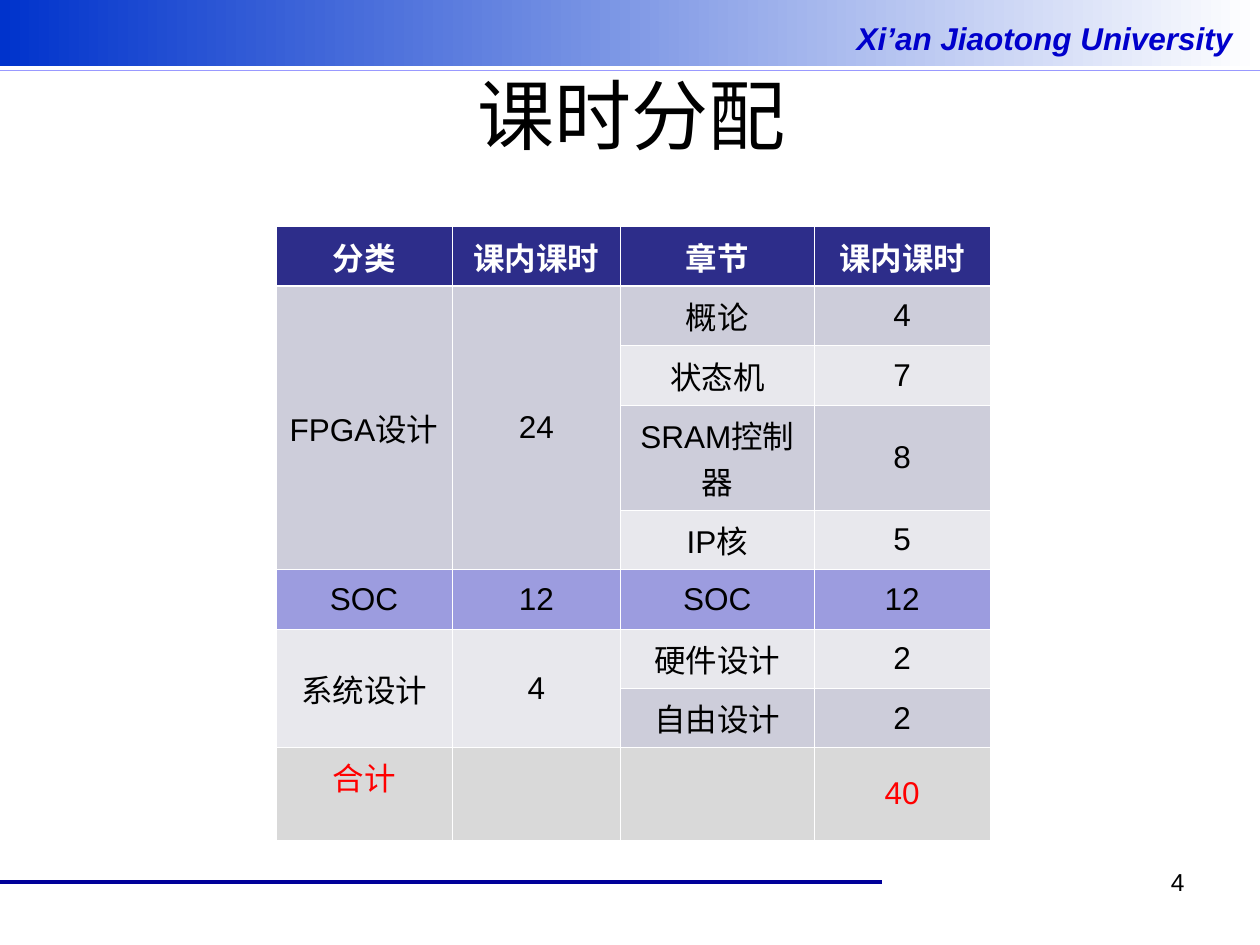
from dataclasses import dataclass

from lxml.etree import SubElement
from pptx import Presentation
from pptx.dml.color import RGBColor
from pptx.enum.lang import MSO_LANGUAGE_ID as Language
from pptx.enum.shapes import MSO_CONNECTOR as Connector, MSO_SHAPE as Preset
from pptx.enum.text import MSO_ANCHOR as Anchor, PP_ALIGN as Align
from pptx.oxml.ns import qn
from pptx.util import Inches, Pt

GRID_COLUMNS, GRID_ROWS, GRID_UNIT = 100, 75, Inches(0.1)


@dataclass(frozen=True)
class Theme:
    """Colours and type sizes of the slide."""
    font: str = "Arial"
    banner_start: str = "0033CC"
    white: str = "FFFFFF"
    name: str = "0000CC"
    header_rule: str = "9999FF"
    footer_rule: str = "000099"
    text: str = "000000"
    total: str = "FF0000"
    heading_fill: str = "2D2D8A"
    dark_band: str = "CDCDDA"
    light_band: str = "E8E8ED"
    accent_band: str = "9C9CDF"
    total_band: str = "D9D9D9"
    title_size: int = 44
    body_size: int = 18
    number_size: int = 14


@dataclass(frozen=True)
class Box:
    """A rectangle measured in grid columns and rows."""
    left: float
    top: float
    width: float
    height: float

    def share(self, x, y, width, height):
        """Return the box at the given shares of this one."""
        return Box(self.left + x * self.width, self.top + y * self.height,
                   width * self.width, height * self.height)

    def lengths(self):
        """Return left, top, width and height as slide lengths."""
        return [round(value * GRID_UNIT)
                for value in (self.left, self.top, self.width, self.height)]


THEME = Theme()
COLUMN_WEIGHTS = (1.4, 1.34, 1.54, 1.4)
SCHEDULE = (
    (THEME.heading_fill, 0.47, ("分类", "课内课时", "章节", "课内课时")),
    (THEME.dark_band, 0.47, ("FPGA设计", "24", "概论", "4")),
    (THEME.light_band, 0.47, ("", "", "状态机", "7")),
    (THEME.dark_band, 0.83, ("", "", "SRAM控制器", "8")),
    (THEME.light_band, 0.47, ("", "", "IP核", "5")),
    (THEME.accent_band, 0.47, ("SOC", "12", "SOC", "12")),
    (THEME.light_band, 0.47, ("系统设计", "4", "硬件设计", "2")),
    (THEME.dark_band, 0.47, ("", "", "自由设计", "2")),
    (THEME.total_band, 0.73, ("合计", "", "", "40")),
)
MERGED_ROWS = ((1, 4), (6, 7))


def color(value):
    """Turn a hex string into a colour."""
    return RGBColor.from_string(value)


def write(frame, text, align, size, ink=THEME.text, **styles):
    """Write one formatted paragraph into a text frame."""
    paragraph = frame.paragraphs[0]
    paragraph.alignment = align
    if not text:
        paragraph.font.size = Pt(size)
        return
    run = paragraph.add_run()
    run.text = text
    formats = {"name": THEME.font, "size": Pt(size),
               "language_id": Language.SIMPLIFIED_CHINESE, **styles}
    for attribute, value in formats.items():
        setattr(run.font, attribute, value)
    run.font.color.rgb = color(ink)


def add_text(slide, box, text, align, size, anchor=Anchor.TOP, **styles):
    """Add a wrapping text box that fills the given box."""
    frame = slide.shapes.add_textbox(*box.lengths()).text_frame
    frame.word_wrap = True
    frame.vertical_anchor = anchor
    write(frame, text, align, size, **styles)


def add_rule(slide, box, ink, weight):
    """Draw a line along the top edge of the given box."""
    left, top, width, _ = box.lengths()
    line = slide.shapes.add_connector(Connector.STRAIGHT, left, top, left + width, top)
    line.line.color.rgb = color(ink)
    line.line.width = Pt(weight)
    SubElement(line._element.spPr, qn("a:effectLst"))


def add_header(slide, box):
    """Place the gradient banner, the university name and the rule."""
    banner = slide.shapes.add_shape(Preset.RECTANGLE, *box.share(0, 0, 1, 0.93).lengths())
    banner.shadow.inherit = False
    banner.line.fill.background()
    banner.fill.gradient()
    banner.fill.gradient_angle = 0
    for stop, ink in zip(banner.fill.gradient_stops, (THEME.banner_start, THEME.white)):
        stop.color.rgb = color(ink)
    add_text(slide, box.share(0.67, 0.18, 0.32, 0.71), "Xi’an Jiaotong University",
             Align.JUSTIFY, THEME.body_size, ink=THEME.name, bold=True, italic=True)
    add_rule(slide, box.share(0, 1, 1, 0), THEME.header_rule, 1)


def add_title(slide, box):
    """Place the slide title."""
    add_text(slide, box, "课时分配", Align.CENTER, THEME.title_size, Anchor.MIDDLE)


def add_borders(cell, row):
    """Draw white cell borders, heavier beneath the heading row."""
    weights = {"L": 0.45, "R": 0.45, "T": 1.47 if row == 1 else 0.45,
               "B": 1.47 if row == 0 else 0.45}
    properties = cell._tc.get_or_add_tcPr()
    for side, weight in weights.items():
        border = SubElement(properties, qn(f"a:ln{side}"), w=str(Pt(weight)))
        fill = SubElement(border, qn("a:solidFill"))
        SubElement(fill, qn("a:srgbClr"), val=THEME.white)


def add_schedule(slide, box):
    """Place the table of class hours."""
    left, top, width, height = box.lengths()
    table = slide.shapes.add_table(len(SCHEDULE), len(COLUMN_WEIGHTS),
                                   left, top, width, height).table
    for column, weight in zip(table.columns, COLUMN_WEIGHTS):
        column.width = round(width * weight / sum(COLUMN_WEIGHTS))
    total_weight = sum(weight for _, weight, _ in SCHEDULE)
    last = len(SCHEDULE) - 1
    for row, (fill, weight, texts) in enumerate(SCHEDULE):
        table.rows[row].height = round(height * weight / total_weight)
        ink = {0: THEME.white, last: THEME.total}.get(row, THEME.text)
        for column, text in enumerate(texts):
            cell = table.cell(row, column)
            add_borders(cell, row)
            cell.fill.solid()
            cell.fill.fore_color.rgb = color(fill)
            cell.vertical_anchor = Anchor.MIDDLE
            write(cell.text_frame, text, Align.CENTER, THEME.body_size, ink, bold=row == 0)
    table.cell(last, 0).vertical_anchor = Anchor.TOP
    for first, end in MERGED_ROWS:
        for column in range(2):
            table.cell(first, column).merge(table.cell(end, column))


def add_footer(slide, box):
    """Place the bottom rule and the page number."""
    add_rule(slide, box.share(0, 0.33, 0.7, 0), THEME.footer_rule, 2.25)
    add_text(slide, box.share(0.72, 0, 0.23, 1), "4", Align.RIGHT, THEME.number_size)


def main():
    """Build and save the presentation."""
    presentation = Presentation()
    presentation.slide_width = GRID_COLUMNS * GRID_UNIT
    presentation.slide_height = GRID_ROWS * GRID_UNIT
    slide = presentation.slides.add_slide(presentation.slide_layouts[6])
    add_header(slide, Box(0, 0, GRID_COLUMNS, 5.6))
    add_title(slide, Box(5.1, 2.8, 90, 12.5))
    add_schedule(slide, Box(21.9, 18, 56.7, 48.7))
    add_footer(slide, Box(0, 68.3, GRID_COLUMNS, 5.2))
    presentation.save("out.pptx")


if __name__ == "__main__":
    main()
